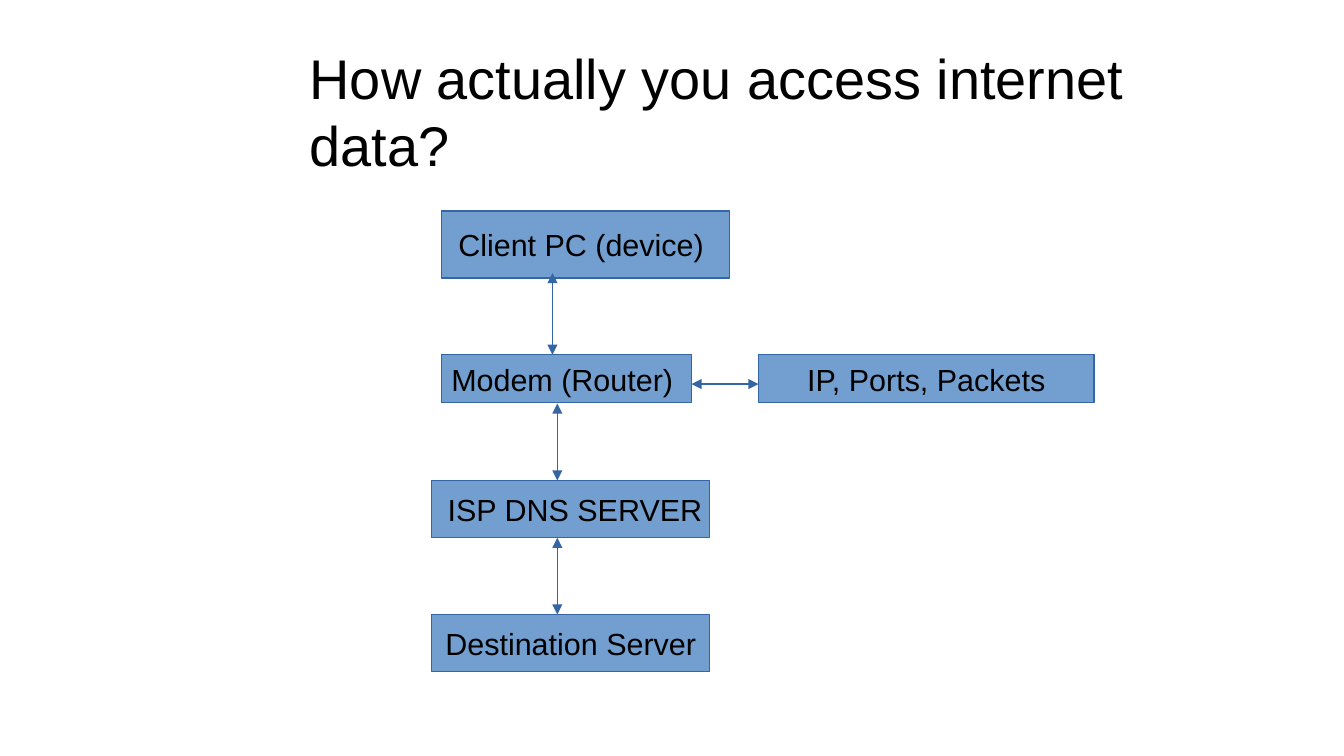
from dataclasses import dataclass

from lxml.etree import SubElement
from pptx import Presentation
from pptx.dml.color import RGBColor
from pptx.enum.shapes import MSO_CONNECTOR, MSO_SHAPE
from pptx.enum.text import MSO_ANCHOR, MSO_AUTO_SIZE, PP_ALIGN
from pptx.oxml.ns import qn
from pptx.util import Pt


@dataclass(frozen=True)
class Theme:
    face: str = "Arial"
    ink: RGBColor = RGBColor(0x00, 0x00, 0x00)
    fill: RGBColor = RGBColor(0x72, 0x9F, 0xCF)
    edge: RGBColor = RGBColor(0x34, 0x65, 0xA4)
    stroke: float = 0.75
    title: int = 33
    label: int = 18


THEME = Theme()

# Text, left, top, width, height
BOXES = (
    ("Client PC (device) ", 260.64, 124.56, 169.92, 39.6),
    ("Modem (Router) ", 260.64, 209.52, 147.6, 28.4),
    (" ISP DNS SERVER", 254.88, 283.68, 164.16, 33.84),
    ("Destination Server", 254.88, 362.88, 164.16, 33.84),
    ("IP, Ports, Packets", 447.84, 209.52, 198, 28.4),
)

# Start x, start y, end x, end y
ARROWS = (
    (326.16, 161.28, 326.16, 209.52),
    (329.04, 238.32, 329.04, 283.68),
    (329.04, 317.52, 329.04, 362.88),
    (408.24, 226.8, 447.84, 226.8),
)


def write(frame, text, size):
    frame.text = text
    font = frame.paragraphs[0].font
    font.name, font.size = THEME.face, Pt(size)
    font.color.rgb = THEME.ink


def outline(line):
    line.color.rgb = THEME.edge
    line.width = Pt(THEME.stroke)


def add_title(slide, text, *place):
    frame = slide.shapes.add_textbox(*map(Pt, place)).text_frame
    frame.word_wrap = True
    frame.auto_size = MSO_AUTO_SIZE.SHAPE_TO_FIT_TEXT
    write(frame, text, THEME.title)


def add_box(slide, text, *place):
    box = slide.shapes.add_shape(MSO_SHAPE.RECTANGLE, *map(Pt, place))
    box.shadow.inherit = False
    box.fill.solid()
    box.fill.fore_color.rgb = THEME.fill
    outline(box.line)
    frame = box.text_frame
    frame.word_wrap = False
    frame.vertical_anchor = MSO_ANCHOR.MIDDLE
    write(frame, text, THEME.label)
    frame.paragraphs[0].alignment = PP_ALIGN.CENTER


def add_arrow(slide, *ends):
    """Draw a straight line with a triangle at both ends."""
    arrow = slide.shapes.add_connector(MSO_CONNECTOR.STRAIGHT, *map(Pt, ends))
    outline(arrow.line)
    props = arrow.element.spPr
    for tag in ("a:headEnd", "a:tailEnd"):
        SubElement(props.find(qn("a:ln")), qn(tag), type="triangle")
    SubElement(props, qn("a:effectLst"))


def main():
    deck = Presentation()
    deck.slide_width, deck.slide_height = Pt(793.44), Pt(446.4)
    slide = deck.slides.add_slide(deck.slide_layouts[6])
    add_title(slide, "How actually you access internet data?",
              175.68, 22.32, 583.92, 86.4)
    for box in BOXES:
        add_box(slide, *box)
    for arrow in ARROWS:
        add_arrow(slide, *arrow)
    deck.save("out.pptx")


if __name__ == "__main__":
    main()
